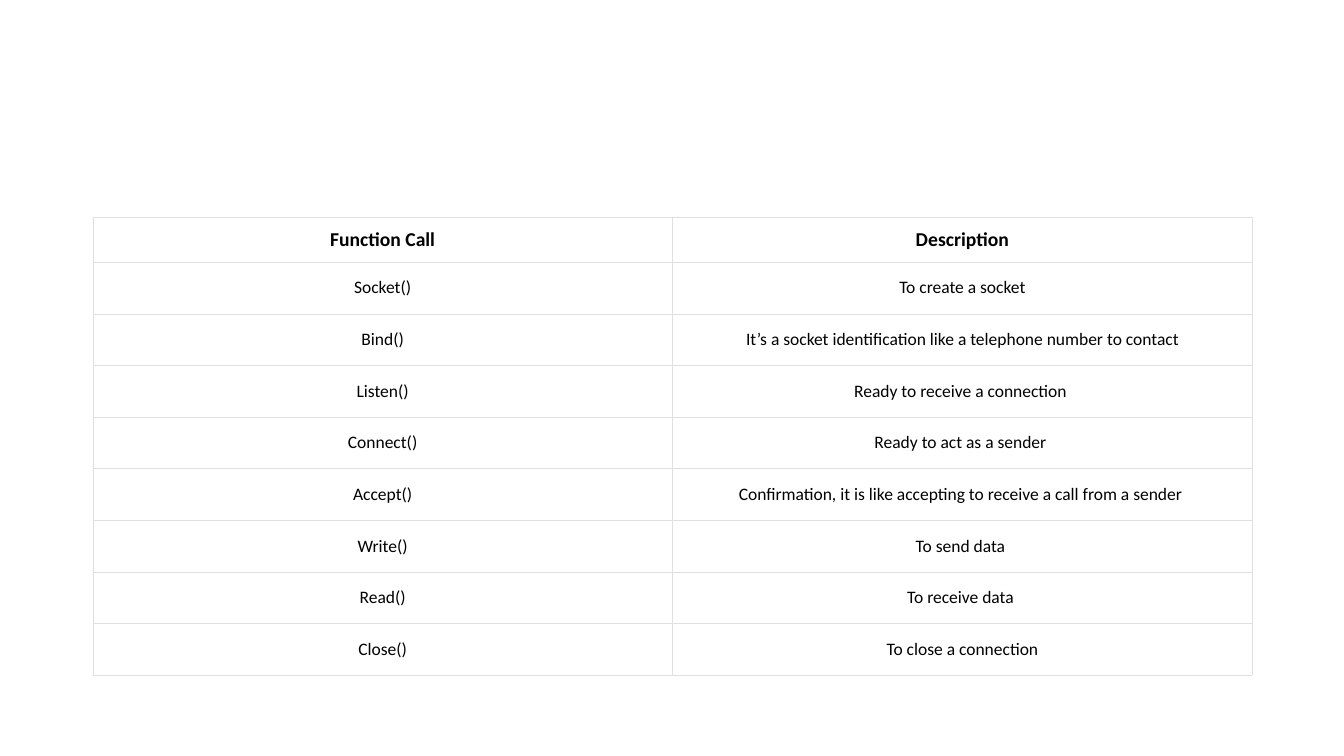
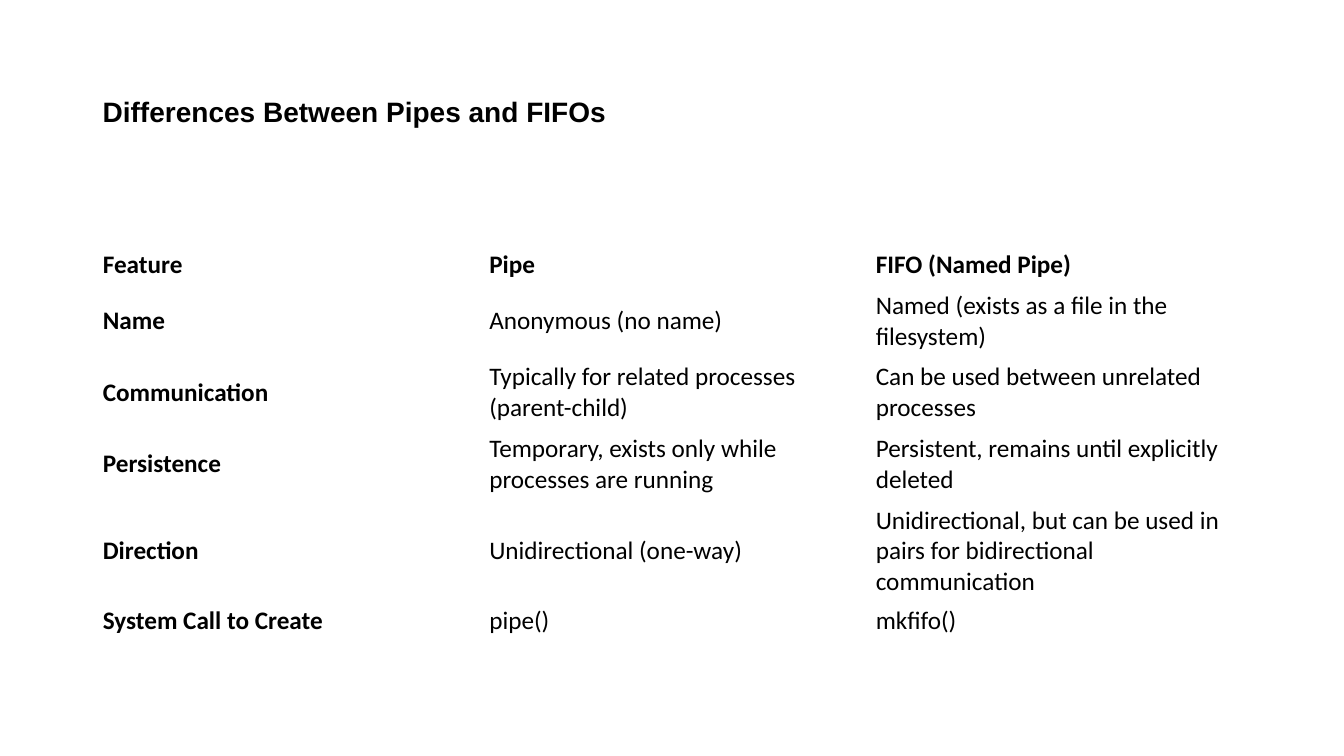
from lxml import etree
from pptx import Presentation
from pptx import util as u
from pptx.dml import color
from pptx.enum import text
from pptx.oxml import ns

COLORS = {"ink": "000000", "paper": "FFFFFF", "rule": "DFDFDF"}
BODY_FONT, TITLE_FONT = "Calibri", "Arial"
PLAIN_TABLE_STYLE = "{2D5ABB26-0587-4C30-8999-92F81FD0307C}"

presentation = Presentation()
presentation.slide_width = u.Inches(13.33)
presentation.slide_height = u.Inches(7.5)
LEFT, CONTENT_WIDTH = u.Inches(0.92), u.Inches(11.5)


def write(paragraph, words, **font_values):
    """Add one run to a paragraph with the given font values."""
    run = paragraph.add_run()
    run.text = words
    for name, value in font_values.items():
        setattr(run.font, name, value)
    run.font.color.rgb = color.RGBColor.from_string(COLORS["ink"])


def add_plain_table(slide, rows, top, heights):
    """Add an unstyled table with equal columns, as wide as the content."""
    columns = len(rows[0])
    frame = slide.shapes.add_table(len(rows), columns, LEFT, u.Inches(top),
                                   CONTENT_WIDTH, u.Inches(sum(heights)))
    table = frame.table
    table.first_row = table.horz_banding = False
    table._tbl.tblPr.find(ns.qn("a:tableStyleId")).text = PLAIN_TABLE_STYLE
    for column in table.columns:
        column.width = CONTENT_WIDTH // columns
    for row, height in zip(table.rows, heights):
        row.height = u.Inches(height)
    for cell in table.iter_cells():
        cell.vertical_anchor = text.MSO_ANCHOR.MIDDLE
        cell.fill.background()
    return table


# Slide 1: socket function calls
calls = [
    ("Function Call", " Description "),
    ("Socket()", "To create a socket"),
    ("Bind()", "It’s a socket identification like a telephone number to contact"),
    ("Listen()", "Ready to receive a connection "),
    ("Connect()", "Ready to act as a sender "),
    ("Accept()", "Confirmation, it is like accepting to receive a call from a sender "),
    ("Write()", "To send data "),
    ("Read()", "To receive data "),
    ("Close()", "To close a connection"),
]
slide = presentation.slides.add_slide(presentation.slide_layouts[6])
table = add_plain_table(slide, calls, 2.15, [0.45] + [0.5] * (len(calls) - 1))
for r, row in enumerate(calls):
    header = r == 0
    for c, words in enumerate(row):
        cell = table.cell(r, c)
        side = 0.04 if header and c == 0 else 0.1
        edge = 0.1 if header else 0.15
        margins = {"margin_left": side, "margin_right": side,
                   "margin_top": edge, "margin_bottom": edge}
        for name, inches in margins.items():
            setattr(cell, name, u.Inches(inches))
        paragraph = cell.text_frame.paragraphs[0]
        paragraph.alignment = text.PP_ALIGN.CENTER
        write(paragraph, words, name=BODY_FONT, bold=header,
              size=u.Pt(14 if header else 12.5))
        cell.fill.solid()
        cell.fill.fore_color.rgb = color.RGBColor.from_string(COLORS["paper"])
        # Hairline borders precede the fill in the cell properties
        properties = cell._tc.get_or_add_tcPr()
        for position, tag in enumerate(("a:lnL", "a:lnR", "a:lnT", "a:lnB")):
            line = etree.Element(ns.qn(tag), w=str(u.Pt(0.23)))
            fill = etree.SubElement(line, ns.qn("a:solidFill"))
            etree.SubElement(fill, ns.qn("a:srgbClr"), val=COLORS["rule"])
            properties.insert(position, line)

# Slide 2: title
slide = presentation.slides.add_slide(presentation.slide_layouts[6])
title = slide.shapes.add_textbox(LEFT, u.Inches(0.4), CONTENT_WIDTH, u.Inches(1.45))
title.text_frame.word_wrap = True
title.text_frame.vertical_anchor = text.MSO_ANCHOR.MIDDLE
paragraph = title.text_frame.paragraphs[0]
paragraph.line_spacing = 0.9
write(paragraph, "Differences Between Pipes and FIFOs",
      name=TITLE_FONT, size=u.Pt(20), bold=True)

# Slide 2: comparison table
features = [
    ("Feature", "Pipe", "FIFO (Named Pipe)"),
    ("Name", "Anonymous (no name)", "Named (exists as a file in the filesystem)"),
    ("Communication", "Typically for related processes (parent-child)",
     "Can be used between unrelated processes"),
    ("Persistence", "Temporary, exists only while processes are running",
     "Persistent, remains until explicitly deleted"),
    ("Direction", "Unidirectional (one-way)",
     "Unidirectional, but can be used in pairs for bidirectional communication"),
    ("System Call to Create", "pipe()", "mkfifo()"),
]
table = add_plain_table(slide, features, 2.43, [0.4, 0.71, 0.71, 0.71, 1, 0.4])
for r, row in enumerate(features):
    for c, words in enumerate(row):
        write(table.cell(r, c).text_frame.paragraphs[0], words,
              name=BODY_FONT, size=u.Pt(18), bold=r == 0 or c == 0)

presentation.save("out.pptx")
